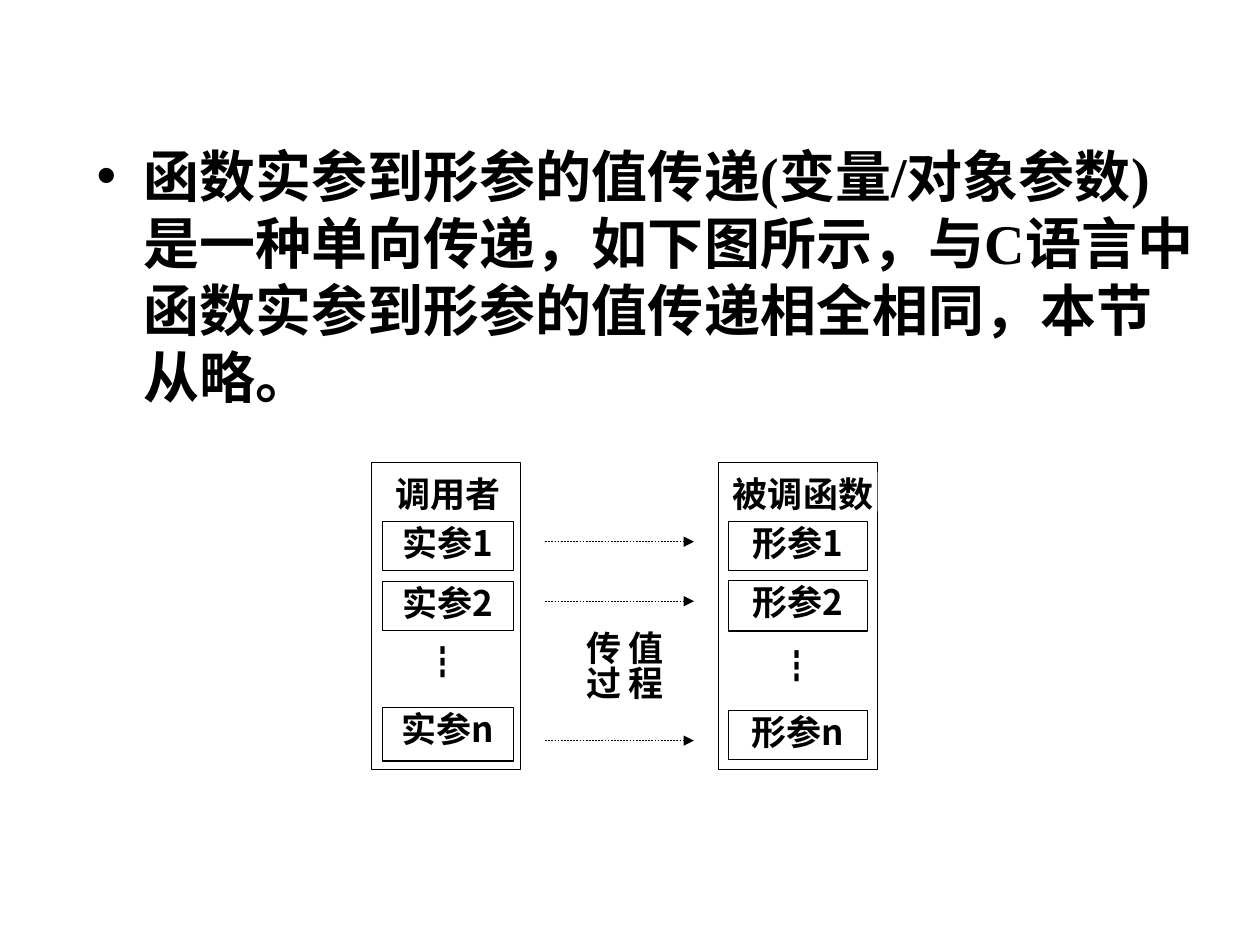
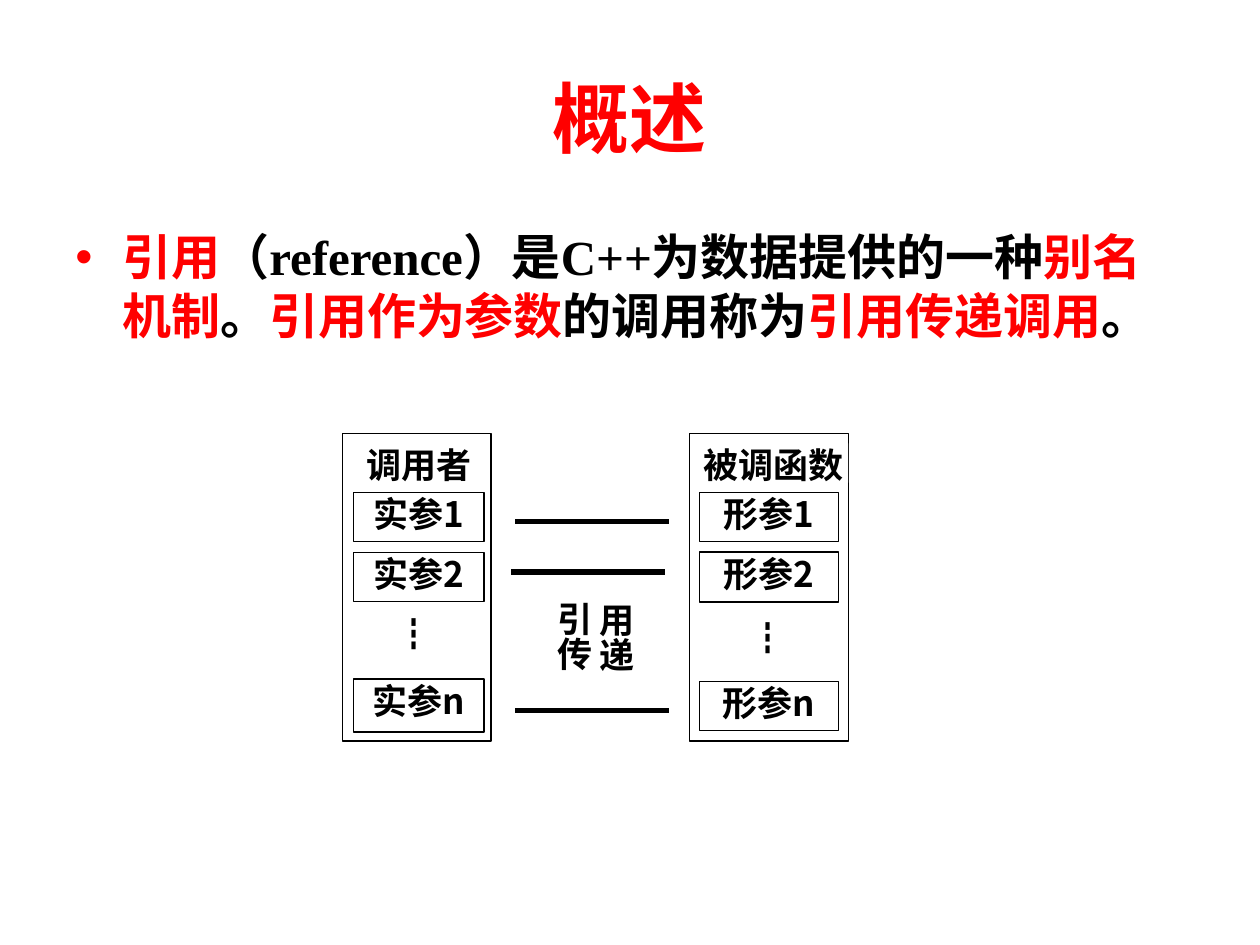
from lxml import etree
from pptx import Presentation
from pptx.dml.color import RGBColor
from pptx.enum.dml import MSO_LINE
from pptx.enum.shapes import MSO_CONNECTOR, MSO_SHAPE
from pptx.enum.text import MSO_ANCHOR, PP_ALIGN
from pptx.oxml.ns import qn
from pptx.util import Cm, Pt

BLACK, WHITE, RED = "000000", "FFFFFF", "FF0000"
SERIF, CJK = "Times New Roman", "Noto Sans CJK SC"
ROW_LABELS = ("1", "2", "┇", "n")


def color(hex_string):
    return RGBColor.from_string(hex_string)


def add_run(paragraph, text, size, ink=BLACK, latin=CJK):
    run = paragraph.add_run()
    run.text = text
    run.font.size = Pt(size)
    run.font.bold = True
    run.font.name = latin
    run.font.color.rgb = color(ink)
    east_asian = etree.SubElement(run._r.get_or_add_rPr(), qn("a:ea"))
    east_asian.set("typeface", CJK)


def add_title(slide, box, text):
    frame = slide.shapes.add_textbox(*map(Cm, box)).text_frame
    frame.word_wrap = True
    frame.vertical_anchor = MSO_ANCHOR.MIDDLE
    paragraph = frame.paragraphs[0]
    paragraph.alignment = PP_ALIGN.CENTER
    add_run(paragraph, text, 44, RED, SERIF)


def add_bullet(slide, box, size, parts):
    """Bulleted paragraph; parts are (text, colour) pairs."""
    frame = slide.shapes.add_textbox(*map(Cm, box)).text_frame
    frame.word_wrap = True
    paragraph = frame.paragraphs[0]
    paragraph.line_spacing = Pt(size * 1.2)
    paragraph.space_before = paragraph.space_after = Pt(size * 0.2)
    properties = paragraph._p.get_or_add_pPr()
    properties.set("marL", str(Cm(0.95)))
    properties.set("indent", str(-Cm(0.95)))
    etree.SubElement(properties, qn("a:buFont")).set("typeface", "Arial")
    etree.SubElement(properties, qn("a:buChar")).set("char", "•")
    for text, ink in parts:
        add_run(paragraph, text, size, ink, SERIF)


def add_box(slide, box, text="", outlined=True, vertical=False):
    """White rectangle with optional outline and centred text."""
    shape = slide.shapes.add_shape(MSO_SHAPE.RECTANGLE, *map(Cm, box))
    shape.shadow.inherit = False
    shape.fill.solid()
    shape.fill.fore_color.rgb = color(WHITE)
    if outlined:
        shape.line.color.rgb = color(BLACK)
        shape.line.width = Pt(0.75)
    else:
        shape.line.fill.background()
    if text:
        frame = shape.text_frame
        frame.margin_left = frame.margin_right = 0
        frame.margin_top = frame.margin_bottom = 0
        frame.word_wrap = True
        frame.vertical_anchor = MSO_ANCHOR.TOP
        if vertical:
            frame._txBody.bodyPr.set("vert", "eaVert")
        paragraph = frame.paragraphs[0]
        paragraph.alignment = PP_ALIGN.CENTER
        add_run(paragraph, text, 20)


def add_column(slide, box, heading, heading_box, prefix, cell_box, rows, dots_box):
    """Framed column of parameters; inner boxes are relative to its corner."""
    left, top = box[:2]

    def inside(x, y, width, height):
        return left + x, top + y, width, height

    add_box(slide, box)
    cell_left, cell_width = cell_box
    for label, (y, height) in zip(ROW_LABELS, rows):
        if label == "┇":
            add_box(slide, inside(*dots_box), label, outlined=False)
        else:
            add_box(slide, inside(cell_left, y, cell_width, height), prefix + label)
    add_box(slide, inside(*heading_box), heading, outlined=False)


def add_link(slide, left, right, y, width, arrow):
    connector = slide.shapes.add_connector(
        MSO_CONNECTOR.STRAIGHT, Cm(left), Cm(y), Cm(right), Cm(y))
    connector.line.color.rgb = color(BLACK)
    connector.line.width = Pt(width)
    if arrow:
        connector.line.dash_style = MSO_LINE.DASH
        tail = etree.SubElement(connector.line._get_or_add_ln(), qn("a:tailEnd"))
        tail.set("type", "triangle")
    etree.SubElement(connector._element.spPr, qn("a:effectLst"))


def add_diagram(slide, left, top, caption, links, width, arrow):
    """Caller and callee columns; links are (start, end, y) from the corner."""
    add_column(slide, (left, top, 3, 6.2), "调用者", (0.3, 0.2, 2.49, 0.71),
               "实参", (0.22, 2.64),
               ((1.19, 0.99), (2.4, 0.99), (3.6, 0.99), (4.95, 1.07)),
               (0.2, 3.6, 2.49, 0.99))
    add_column(slide, (left + 7, top, 3.2, 6.2), "被调函数", (0.2, 0.2, 3, 0.79),
               "形参", (0.2, 2.8),
               ((1.19, 0.99), (2.39, 1.01), (3.68, 0.71), (5, 0.99)),
               (0.58, 3.68, 2, 0.71))
    add_box(slide, (left + 3.96, top + 3.4, 1.98, 2), caption,
            outlined=False, vertical=True)
    for start, end, y in links:
        add_link(slide, left + start, left + end, top + y, width, arrow)


def build_value_slide(slide):
    add_bullet(slide, (1.7, 2.72, 22.86, 4.8), 32, [
        ("函数实参到形参的值传递(变量/对象参数)是一种单向传递，如下图所示，"
         "与C语言中函数实参到形参的值传递相全相同，本节从略。", BLACK)])
    add_diagram(slide, 7.49, 9.32, "值程传过",
                [(3.5, 6.5, y) for y in (1.6, 2.8, 5.61)], 0.25, True)


def build_reference_slide(slide):
    add_title(slide, (1.27, 0.76, 22.86, 3.18), "概述")
    add_bullet(slide, (1.27, 4.45, 22.86, 2.69), 28, [
        ("引用", RED), ("（reference）是C++为数据提供的一种", BLACK),
        ("别名机制", RED), ("。", BLACK), ("引用作为参数", RED),
        ("的调用称为", BLACK), ("引用传递调用", RED), ("。", BLACK)])
    add_diagram(slide, 6.9, 8.74, "用递引传",
                [(3.49, 6.59, 1.78), (3.41, 6.51, 2.79), (3.49, 6.59, 5.59)],
                3, False)


def main():
    presentation = Presentation()
    presentation.slide_width, presentation.slide_height = Cm(25.4), Cm(19.05)
    for build in (build_value_slide, build_reference_slide):
        build(presentation.slides.add_slide(presentation.slide_layouts[6]))
    presentation.save("out.pptx")


if __name__ == "__main__":
    main()
